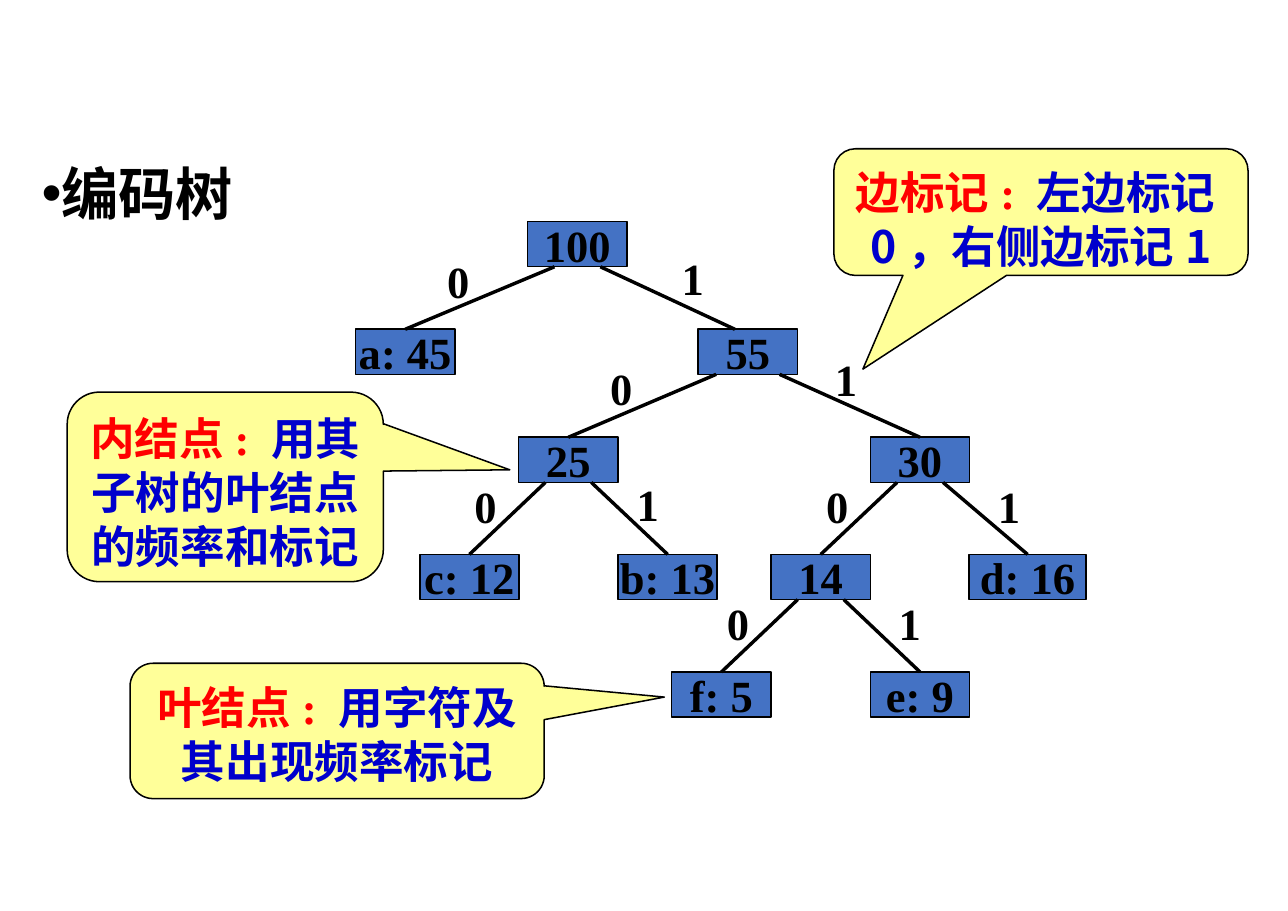
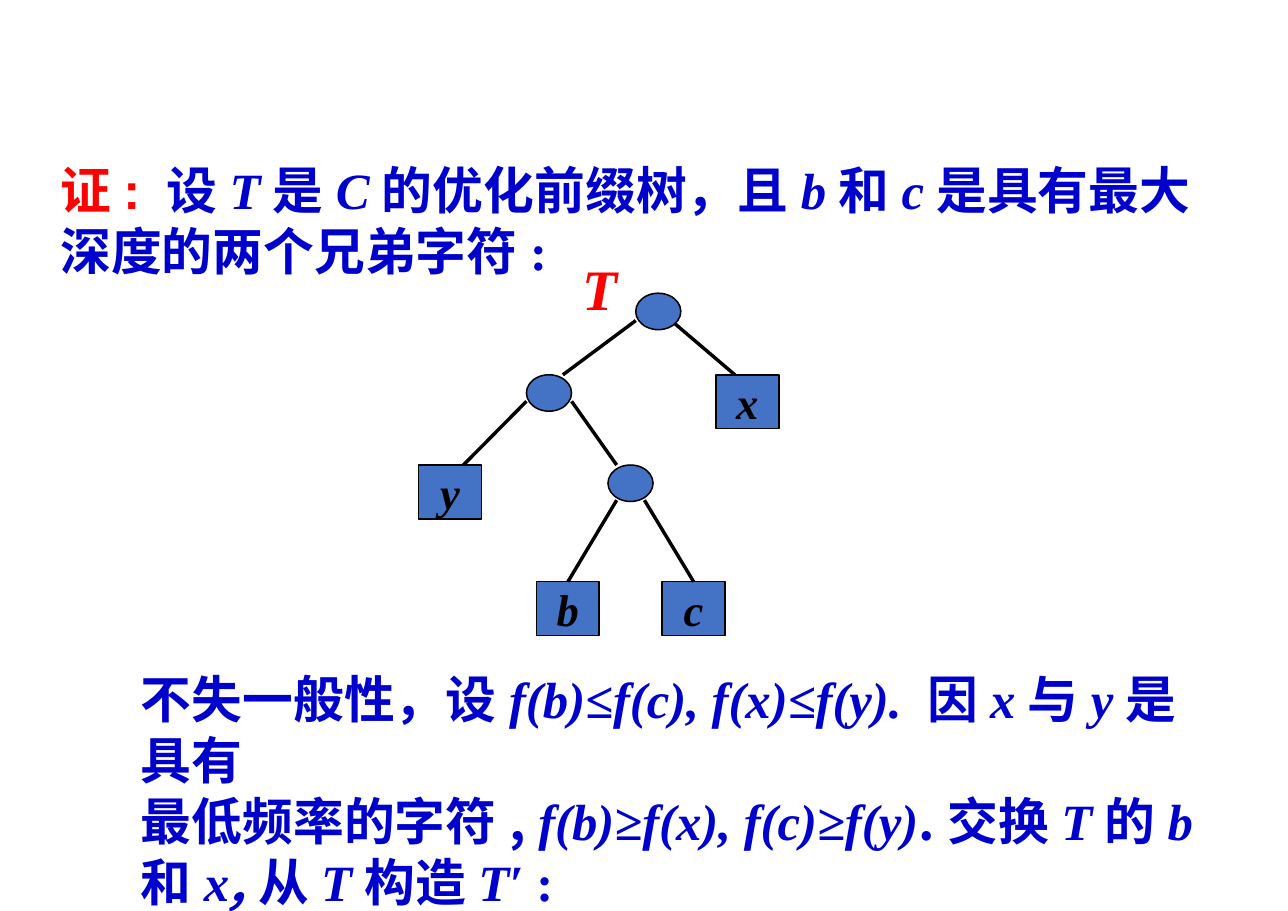
from collections import namedtuple

from lxml import etree
from pptx import Presentation
from pptx import util as u
from pptx.dml.color import RGBColor
from pptx.enum import shapes, text
from pptx.oxml.ns import qn

# Shared look
SANS, SERIF = "Noto Sans CJK SC", "Times New Roman"
BLACK, RED, BLUE = "000000", "FF0000", "0000CC"
NODE_FILL, CALLOUT_FILL = "4472C4", "FFFF99"
HEADING, BODY, LABEL = 37.4, 33.2, 29.1
LINE_PITCH = 1.205

Run = namedtuple("Run", "text font color italic", defaults=(SANS, BLUE, False))
Node = namedtuple("Node", "left top width height label")
Edge = namedtuple("Edge", "parent child shift depth landing", defaults=(0,))


def rgb(value):
    return RGBColor.from_string(value)


def prose(marked):
    """Blue sans text; parts between asterisks are italic serif."""
    return [Run(part, SERIF, BLUE, True) if index % 2 else Run(part)
            for index, part in enumerate(marked.split("*")) if part]


def style_font(font, run):
    font.color.rgb = rgb(run.color)
    font.name = run.font
    font.italic = run.italic


def fill_paragraph(paragraph, runs, size):
    font = paragraph.font
    font.size, font.bold = u.Pt(size), True
    if len(runs) == 1:
        style_font(font, runs[0])
    properties = paragraph._p.get_or_add_pPr().find(qn("a:defRPr"))
    etree.SubElement(properties, qn("a:ea")).set("typeface", SANS)
    for item in runs:
        run = paragraph.add_run()
        run.text = item.text
        if len(runs) > 1:
            style_font(run.font, item)


def write(shape, paragraphs, size, align=text.PP_ALIGN.LEFT, bullet=None):
    """Wrapped text with an even line pitch."""
    frame = shape.text_frame
    frame.word_wrap = True
    frame.vertical_anchor = text.MSO_ANCHOR.TOP
    frame.margin_top = u.Cm(0.22)
    for index, runs in enumerate(paragraphs):
        paragraph = frame.add_paragraph() if index else frame.paragraphs[0]
        paragraph.alignment = align
        paragraph.line_spacing = u.Pt(round(size * LINE_PITCH, 1))
        if bullet:
            properties = paragraph._p.get_or_add_pPr()
            etree.SubElement(properties, qn("a:buFont")).set("typeface", "Arial")
            etree.SubElement(properties, qn("a:buChar")).set("char", bullet)
        fill_paragraph(paragraph, runs, size)


def write_line(shape, run, size, align=text.PP_ALIGN.LEFT):
    """One unwrapped line."""
    shape.text_frame.word_wrap = False
    paragraph = shape.text_frame.paragraphs[0]
    paragraph.alignment = align
    fill_paragraph(paragraph, [run], size)


def add_text_box(slide, *box):
    return slide.shapes.add_textbox(*map(u.Cm, box))


def add_outlined(slide, kind, box, fill):
    shape = slide.shapes.add_shape(kind, *map(u.Cm, box))
    shape.shadow.inherit = False
    shape.fill.solid()
    shape.fill.fore_color.rgb = rgb(fill)
    shape.line.color.rgb = rgb(BLACK)
    shape.line.width = u.Pt(1)
    return shape


def add_callout(slide, box, pointer, term, meaning):
    shape = add_outlined(slide, shapes.MSO_SHAPE.ROUNDED_RECTANGULAR_CALLOUT,
                         box, CALLOUT_FILL)
    for index, value in enumerate((*pointer, 0.17)):
        shape.adjustments[index] = value
    runs = [Run(term, SANS, RED), Run(": ", SERIF, RED), Run(meaning)]
    write(shape, [runs], LABEL, text.PP_ALIGN.CENTER)


def add_node(slide, node, italic):
    """A box when the node has a label, otherwise an oval."""
    kind = shapes.MSO_SHAPE.RECTANGLE if node.label else shapes.MSO_SHAPE.OVAL
    shape = add_outlined(slide, kind, node[:4], NODE_FILL)
    if node.label:
        shape.text_frame.vertical_anchor = text.MSO_ANCHOR.MIDDLE
        write_line(shape, Run(node.label, SERIF, BLACK, italic), LABEL,
                   text.PP_ALIGN.CENTER)
    return shape


def add_tree(slide, nodes, edges, italic=False):
    """Edges start at parent centre + shift and end at child centre + landing."""
    drawn = {name: add_node(slide, node, italic) for name, node in nodes.items()}
    for edge in edges:
        parent, child = nodes[edge.parent], nodes[edge.child]
        start = parent.left + parent.width / 2 + edge.shift
        end = child.left + child.width / 2 + edge.landing
        line = slide.shapes.add_connector(
            shapes.MSO_CONNECTOR.STRAIGHT, u.Cm(start),
            u.Cm(parent.top + edge.depth), u.Cm(end), u.Cm(child.top))
        line.line.color.rgb = rgb(BLACK)
        line.line.width = u.Pt(2.25)
        etree.SubElement(line._element.spPr, qn("a:effectLst"))
        if not edge.landing:
            line.end_connect(drawn[edge.child], 0)


def build_coding_tree(slide):
    write(add_text_box(slide, 0.71, 3.43, 4.95, 1.85),
          [[Run("编码树", SANS, BLACK)]], HEADING, bullet="•")

    # Explanations
    add_callout(slide, (3, 15.29, 9.55, 3.12), (0.79, -0.25),
                "叶结点", "用字符及其出现频率标记")
    add_callout(slide, (1.55, 9.04, 7.29, 4.37), (0.9, -0.09),
                "内结点", "用其子树的叶结点的频率和标记")
    add_callout(slide, (19.23, 3.43, 9.55, 2.92), (-0.43, 1.24),
                "边标记", "左边标记0，右侧边标记1")

    # Tree: the nodes of each level with their left edges
    height = 1.04
    levels = [
        (5.11, {"100": 12.17}),
        (7.59, {"a: 45": 8.2, "55": 16.1}),
        (10.08, {"25": 11.96, "30": 20.07}),
        (12.78, {"c: 12": 9.68, "b: 13": 14.25, "14": 17.78, "d: 16": 22.35}),
        (15.49, {"f: 5": 15.49, "e: 9": 20.07}),
    ]
    nodes = {name: Node(left, top, 2.69 if name == "d: 16" else 2.29, height, name)
             for top, row in levels for name, left in row.items()}
    children = {"100": ("a: 45", "55"), "55": ("25", "30"),
                "25": ("c: 12", "b: 13"), "30": ("14", "d: 16"),
                "14": ("f: 5", "e: 9")}
    edges = []
    for parent, pair in children.items():
        spread = 0.73 if parent == "55" else 0.53
        for child, side in zip(pair, (-1, 1)):
            landing = -0.3 if child == "55" else 0
            edges.append(Edge(parent, child, side * spread, height, landing))
    add_tree(slide, nodes, edges)

    # Edge marks
    marks = {
        "0": [(10.06, 5.72), (13.82, 8.2), (10.69, 10.92), (18.8, 10.92),
              (16.51, 13.61)],
        "1": [(15.47, 5.66), (19, 8), (14.43, 10.87), (22.76, 10.92),
              (20.47, 13.61)],
    }
    for digit, places in marks.items():
        for left, top in places:
            write_line(add_text_box(slide, left, top, 1.02, 1.5),
                       Run(digit, SERIF, BLACK), LABEL)


def build_proof(slide):
    # Opening statement
    opening = [Run("证: ", "Arial", RED)]
    opening += prose("设*T*是*C*的优化前缀树，且*b*和*c*是具有最大深度的两个兄弟字符")
    opening.append(Run(":", SERIF))
    write(add_text_box(slide, 1.14, 3.43, 27.51, 3.1), [opening], BODY)

    # Tree T
    oval, box = (1.04, 0.84), (1.45, 1.24)
    nodes = {
        "root": Node(14.66, 6.76, *oval, ""),
        "left": Node(12.14, 8.64, *oval, ""),
        "deepest": Node(14.02, 10.72, *oval, ""),
        "x": Node(16.51, 8.64, *box, "x"),
        "y": Node(9.65, 10.72, *box, "y"),
        "b": Node(12.37, 13.41, *box, "b"),
        "c": Node(15.27, 13.41, *box, "c"),
    }
    edges = [
        Edge("root", "left", -0.52, 0.63, 0.32),
        Edge("root", "x", 0.38, 0.7, -0.29),
        Edge("left", "y", -0.52, 0.61, 0.31),
        Edge("left", "deepest", 0.52, 0.61, -0.32),
        Edge("deepest", "b", -0.32, 0.81),
        Edge("deepest", "c", 0.32, 0.81),
    ]
    add_tree(slide, nodes, edges, italic=True)
    write_line(add_text_box(slide, 13.18, 5.72, 1.32, 1.85),
               Run("T", SERIF, RED, True), HEADING)

    # Argument
    exchange = prose("最低频率的字符,* f(b)≥f(x), f(c)≥f(y)*.交换*T*的*b*和*x*")
    exchange.append(Run(",", italic=True))
    exchange += prose("从*T*构造*T′ *")
    exchange.append(Run(":", SERIF))
    assumption = prose("不失一般性，设*f(b)≤f(c), f(x)≤f(y). *因*x*与*y*是具有")
    write(add_text_box(slide, 3, 15.16, 25.37, 4.52), [assumption, exchange], BODY)


def main():
    presentation = Presentation()
    presentation.slide_width = u.Cm(29.7)
    presentation.slide_height = u.Cm(21)
    blank = presentation.slide_layouts[6]
    for build in (build_coding_tree, build_proof):
        build(presentation.slides.add_slide(blank))
    presentation.save("out.pptx")


if __name__ == "__main__":
    main()
